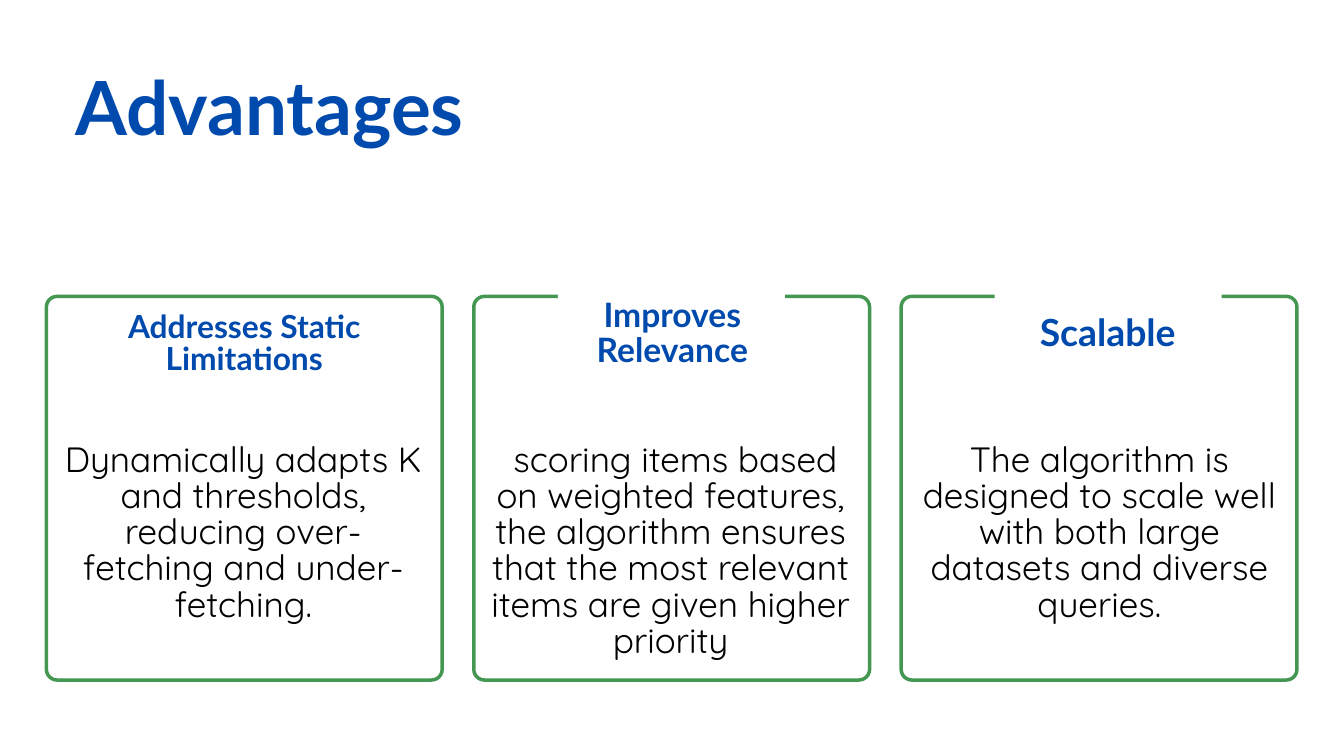
from pptx import Presentation
from pptx import util as u
from pptx.dml.color import RGBColor
from pptx.enum import shapes, text

BLUE, GREEN, WHITE, BLACK = "004AAD", "439751", "FFFFFF", "000000"
LEFT, TOP, WIDE, HIGH, PITCH = 0.69, 4.41, 5.89, 5.71, 6.36

# Heading, its box, size and line pitch; body text, its left edge and height
CARDS = [
    ("Addresses Static Limitations", (1.56, 4.64, 4.15, 0.99), 34, 35,
     "Dynamically adapts K and thresholds, reducing over-fetching and "
     "under-fetching.", 0.89, 2.67),
    ("Improves Relevance", (8.02, 4.46, 3.97, 1.06), 36, 37.1,
     " scoring items based on weighted features, the algorithm ensures "
     "that the most relevant items are given higher priority", 7.25, 3.2),
    ("Scalable", (14.47, 4.69, 4.03, 0.61), 40, 41.2,
     "The algorithm is designed to scale well with both large datasets "
     "and diverse queries.", 13.63, 2.67),
]
DISCS = [8.3, 14.8]


def color(code):
    return RGBColor.from_string(code)


def box(*sides):
    return [u.Inches(side) for side in sides]


class Deck:
    def __init__(self):
        self.prs = Presentation()
        self.prs.slide_width, self.prs.slide_height = box(20, 11.25)
        self.slide = self.prs.slides.add_slide(self.prs.slide_layouts[5])

    def letter(self, shape, words, size, pitch, font, ink, bold, align):
        """Fill a text shape with one formatted run, without margins."""
        frame = shape.text_frame
        frame.margin_left = frame.margin_right = 0
        frame.margin_top = frame.margin_bottom = 0
        frame.word_wrap = True
        frame.auto_size = text.MSO_AUTO_SIZE.NONE
        frame.vertical_anchor = text.MSO_ANCHOR.TOP
        para = frame.paragraphs[0]
        para.alignment = align
        para.line_spacing = u.Pt(pitch)
        run = para.add_run()
        run.text = words
        run.font.name, run.font.size, run.font.bold = font, u.Pt(size), bold
        run.font.color.rgb = color(ink)

    def title(self, words, place):
        shape = self.slide.shapes.title
        shape.left, shape.top, shape.width, shape.height = box(*place)
        self.letter(shape, words, 80, 82.4, "Lato", BLUE, True,
                    text.PP_ALIGN.LEFT)

    def label(self, words, place, size, pitch, font, ink, bold):
        shape = self.slide.shapes.add_textbox(*box(*place))
        self.letter(shape, words, size, pitch, font, ink, bold,
                    text.PP_ALIGN.CENTER)

    def card(self, left):
        shape = self.slide.shapes.add_shape(
            shapes.MSO_SHAPE.ROUNDED_RECTANGLE, *box(left, TOP, WIDE, HIGH))
        shape.adjustments[0] = 0.16 / HIGH
        shape.shadow.inherit = False
        shape.fill.background()
        shape.line.color.rgb = color(GREEN)
        shape.line.width = u.Pt(3.75)

    def disc(self, left):
        """Draw a white circle that opens a gap in a card's top edge."""
        shape = self.slide.shapes.add_shape(
            shapes.MSO_SHAPE.OVAL, *box(left, 2.73, 3.38, 3.38))
        shape.shadow.inherit = False
        shape.fill.solid()
        shape.fill.fore_color.rgb = color(WHITE)
        shape.line.fill.background()


def main():
    deck = Deck()
    deck.title("Advantages", (1.12, 1.1, 7.17, 1.2))
    for col in range(len(CARDS)):
        deck.card(LEFT + col * PITCH)
    for left in DISCS:
        deck.disc(left)
    for head, place, size, pitch, body, left, high in CARDS:
        deck.label(head, place, size, pitch, "Lato", BLUE, True)
        deck.label(body, (left, 6.6, 5.46, high), 37.6, 38.7,
                   "Quicksand", BLACK, False)
    deck.prs.save("out.pptx")


if __name__ == "__main__":
    main()
